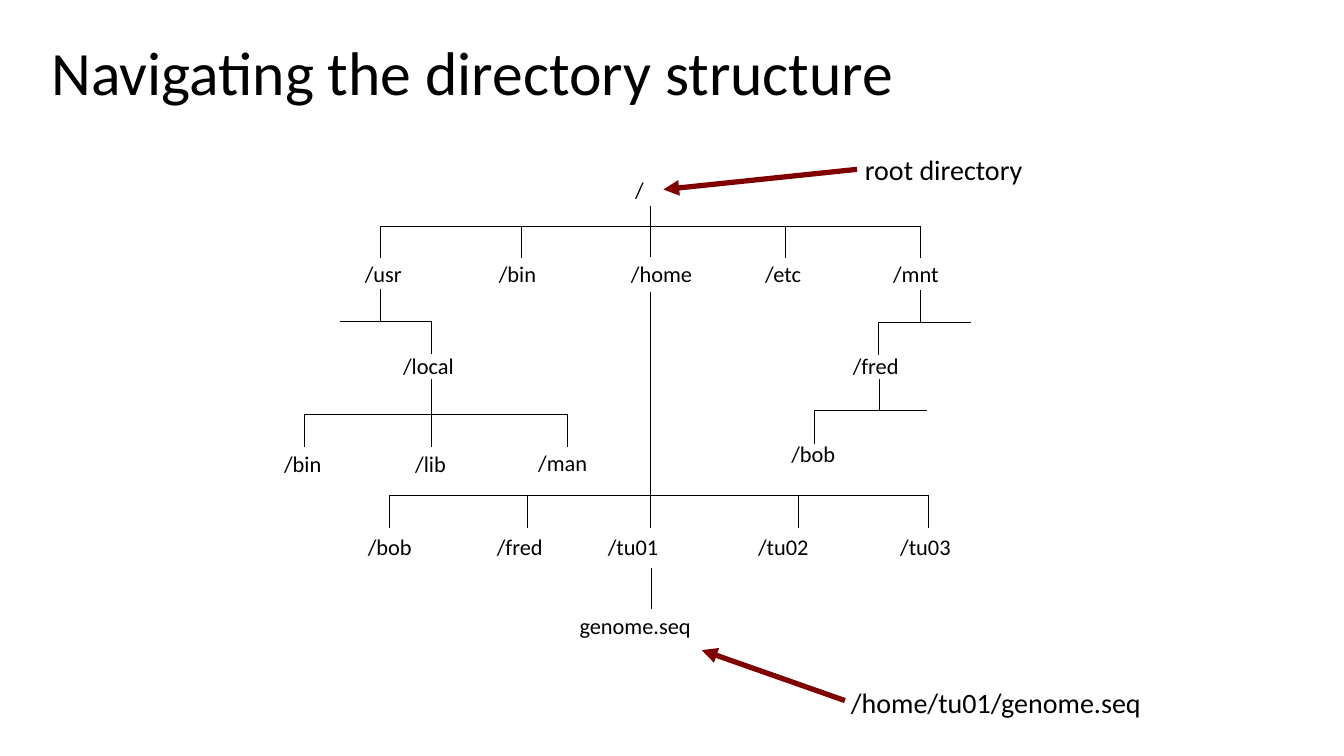
"""Build a slide that shows a directory tree."""
from lxml.etree import SubElement
from pptx import Presentation
from pptx.dml.color import RGBColor
from pptx.enum.shapes import MSO_CONNECTOR
from pptx.enum.text import MSO_ANCHOR
from pptx.oxml.ns import qn
from pptx.util import Pt

PX = 9144
COLORS = {"ink": "000000", "arrow": "800000"}
FONT = "Calibri"

TITLE = "Navigating the directory structure"
LABELS = [
    ("/", 620, 170),
    ("/usr", 352, 253), ("/bin", 485, 253), ("/home", 616, 253),
    ("/etc", 749, 253), ("/mnt", 876, 253),
    ("/local", 390, 344), ("/fred", 836, 344),
    ("/bin", 272, 442), ("/lib", 402, 442), ("/man", 524, 441),
    ("/bob", 775, 432),
    ("/bob", 355, 524), ("/fred", 483, 524), ("/tu01", 593, 524),
    ("/tu02", 742, 524), ("/tu03", 883, 524),
    ("genome.seq", 565, 602),
]
NOTES = [("root directory", 848, 146), ("/home/tu01/genome.seq", 834, 675)]
BRANCHES = [
    (645, 204, 255, 225, 377, 913, 256, [377, 517, 779, 913]),
    (377, 287, 319, 319, 337, 428, 351, [428]),
    (428, 376, 443, 411, 302, 563, 443, [302, 563]),
    (645, 290, 524, 492, 386, 921, 524, [386, 523, 792, 921]),
    (913, 288, 320, 320, 871, 963, 352, [871]),
    (872, 376, 407, 407, 808, 919, 440, [808]),
]
ARROWS = [(850, 168, 658, 188), (838, 695, 696, 645)]


def add_text(slide, text, left, top, width=300, height=45, size=16):
    """Add a one-line text box and return its shape."""
    box = slide.shapes.add_textbox(left * PX, top * PX, width * PX, height * PX)
    frame = box.text_frame
    frame.word_wrap = True
    line = frame.paragraphs[0]
    line.text = text
    line.font.name = FONT
    line.font.size = Pt(size)
    line.font.color.rgb = RGBColor.from_string(COLORS["ink"])
    return box


def add_title(slide):
    """Add the slide title."""
    frame = add_text(slide, TITLE, 0, 2, 1150, 145, 44).text_frame
    frame.margin_left = 51 * PX
    frame.vertical_anchor = MSO_ANCHOR.MIDDLE
    frame.paragraphs[0].line_spacing = 0.9


def add_line(slide, x1, y1, x2, y2, color="ink", width=0.75):
    """Add a straight line and return it."""
    line = slide.shapes.add_connector(
        MSO_CONNECTOR.STRAIGHT, x1 * PX, y1 * PX, x2 * PX, y2 * PX)
    line.line.color.rgb = RGBColor.from_string(COLORS[color])
    line.line.width = Pt(width)
    SubElement(line.element.spPr, qn("a:effectLst"))
    return line


def add_arrow(slide, x1, y1, x2, y2):
    """Add a thick arrow that points at its second end."""
    arrow = add_line(slide, x1, y1, x2, y2, "arrow", 3.75)
    SubElement(arrow.line._get_or_add_ln(), qn("a:tailEnd"), type="triangle")


def add_branch(slide, stem, top, end, bar, left, right, foot, drops):
    """Add a stem, its cross bar and the drops below the bar."""
    add_line(slide, stem, top, stem, end)
    add_line(slide, left, bar, right, bar)
    for drop in drops:
        add_line(slide, drop, bar, drop, foot)


def main():
    """Build and save the slide."""
    deck = Presentation()
    deck.slide_width = 1333 * PX
    deck.slide_height = 750 * PX
    slide = deck.slides.add_slide(deck.slide_layouts[6])
    add_title(slide)
    for text, left, top in LABELS:
        add_text(slide, text, left, top, 150)
    for branch in BRANCHES:
        add_branch(slide, *branch)
    add_line(slide, 646, 564, 646, 604)
    for arrow in ARROWS:
        add_arrow(slide, *arrow)
    for text, left, top in NOTES:
        add_text(slide, text, left, top, 394, size=20)
    deck.save("out.pptx")


if __name__ == "__main__":
    main()
